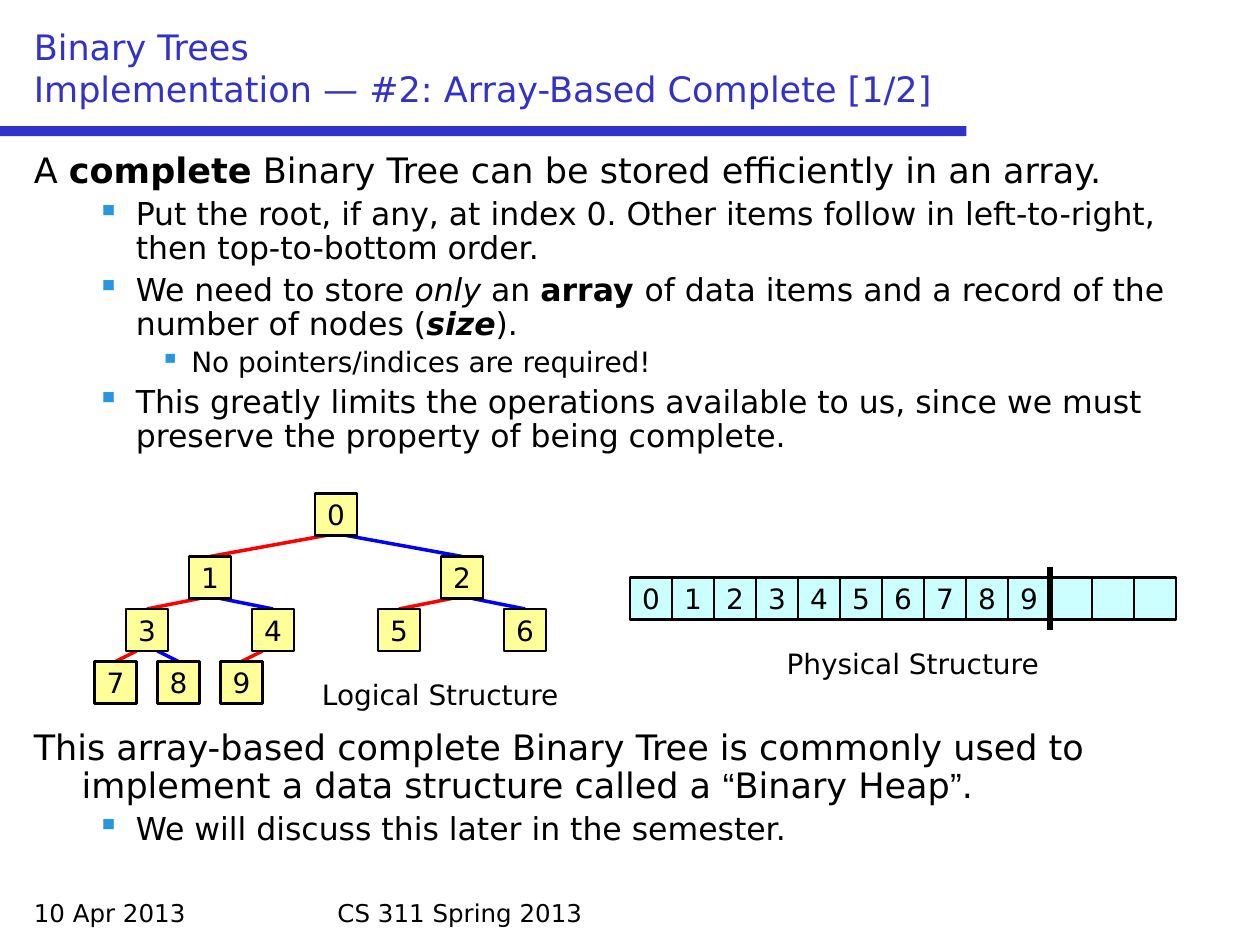
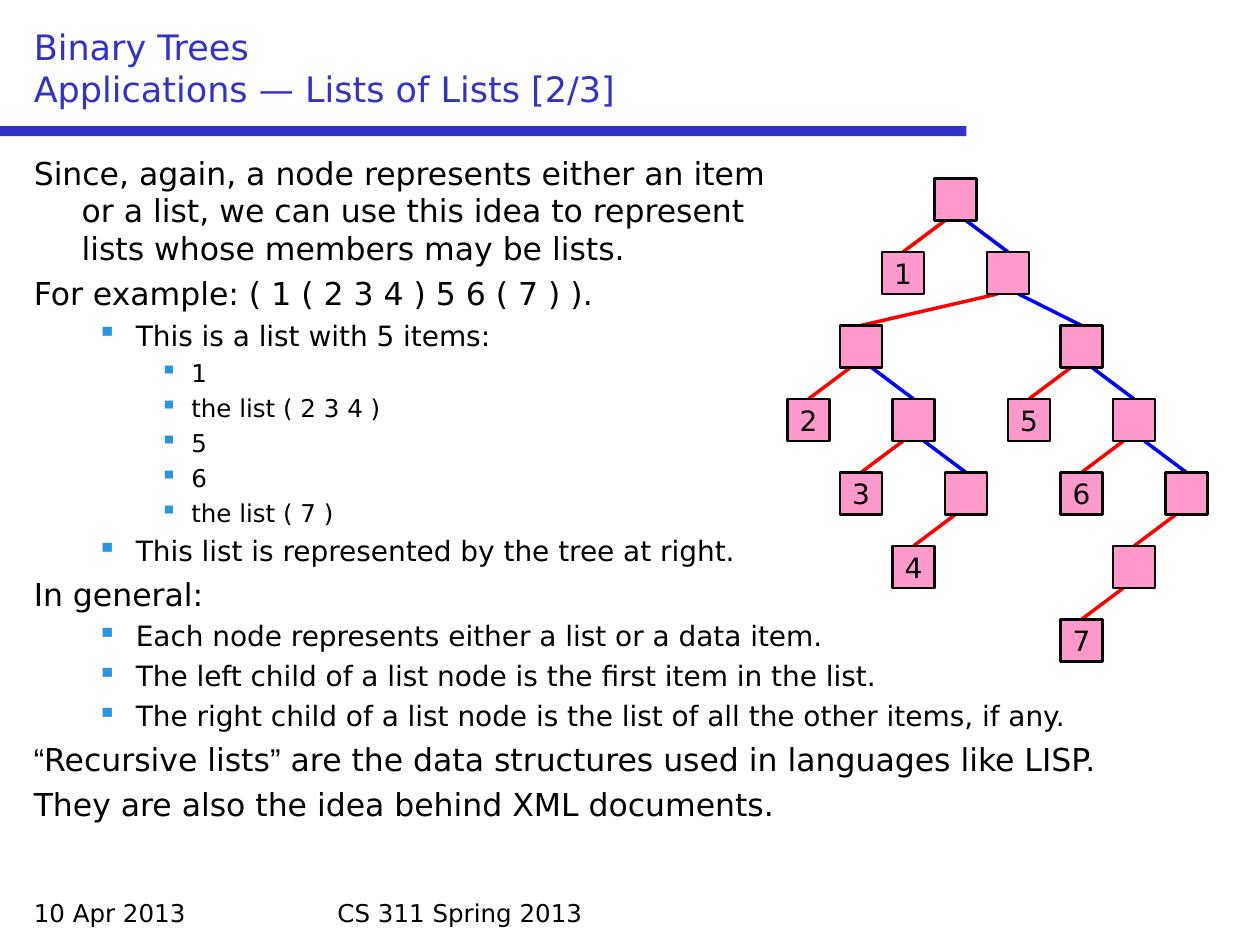
"""Build two lecture slides on binary trees: array-based storage and lists of lists."""
from lxml.etree import SubElement
from pptx import Presentation
from pptx.dml.color import RGBColor
from pptx.enum.shapes import MSO_CONNECTOR, MSO_SHAPE
from pptx.enum.text import MSO_ANCHOR, PP_ALIGN
from pptx.oxml.ns import qn
from pptx.util import Inches, Pt

INDIGO = RGBColor(0x32, 0x32, 0xC8)
SKY = RGBColor(0x28, 0x96, 0xDC)
BLACK = RGBColor(0, 0, 0)
RED = RGBColor(0xFF, 0, 0)
BLUE = RGBColor(0, 0, 0xFF)
YELLOW = RGBColor(0xFF, 0xFF, 0x99)
AQUA = RGBColor(0xCC, 0xFF, 0xFF)
PINK = RGBColor(0xFF, 0x99, 0xCC)

GRID = 1 / 12
CELL = 4
BOLD = {"bold": True}
ITALIC = {"italic": True}
QUOTE = {"name": "Arial"}
INDENTS = [(0.38, -0.38), (0.81, -0.31), (1.25, -0.25)]


def write(paragraph, pieces, size, colour=BLACK):
    for piece in [pieces] if isinstance(pieces, str) else pieces:
        text, changes = (piece, {}) if isinstance(piece, str) else piece
        for number, line in enumerate(text.split("\n")):
            if number:
                paragraph.add_line_break()
            run = paragraph.add_run()
            run.text = line
            run.font.color.rgb = colour
            for key, value in {"name": "DejaVu Sans", "size": Pt(size), **changes}.items():
                setattr(run.font, key, value)


def connect(slide, start, end, colour, width):
    ends = [Inches(value * GRID) for value in (*start, *end)]
    connector = slide.shapes.add_connector(MSO_CONNECTOR.STRAIGHT, *ends)
    connector.line.color.rgb = colour
    connector.line.width = Pt(width)
    SubElement(connector._element.spPr, qn("a:effectLst"))


array_body = [
    (0, ["A ", ("complete", BOLD), " Binary Tree can be stored efficiently in an array."]),
    (1, "Put the root, if any, at index 0. Other items follow in left-to-right, "
        "then top-to-bottom order."),
    (1, ["We need to store ", ("only", ITALIC), " an ", ("array ", BOLD),
         "of data items and a record of the number of nodes (",
         ("size", {**BOLD, **ITALIC}), ")."]),
    (2, "No pointers/indices are required!"),
    (1, "This greatly limits the operations available to us, since we must "
        "preserve the property of being complete."),
    (0, ["This array-based complete Binary Tree is commonly used to implement "
         "a data structure called a ", ("“", QUOTE), "Binary Heap", ("”", QUOTE), "."]),
    (1, "We will discuss this later in the semester."),
]
lists_body = [
    (0, "Since, again, a node represents either an item\n"
        "or a list, we can use this idea to represent\n"
        "lists whose members may be lists."),
    (0, "For example: ( 1 ( 2 3 4 ) 5 6 ( 7 ) )."),
    (1, "This is a list with 5 items:"),
    (2, "1"),
    (2, "the list ( 2 3 4 )"),
    (2, "5"),
    (2, "6"),
    (2, "the list ( 7 )"),
    (1, "This list is represented by the tree at right."),
    (0, "In general:"),
    (1, "Each node represents either a list or a data item."),
    (1, "The left child of a list node is the first item in the list."),
    (1, "The right child of a list node is the list of all the other items, if any."),
    (0, [("“", QUOTE), "Recursive lists", ("”", QUOTE),
         " are the data structures used in languages like LISP."]),
    (0, "They are also the idea behind XML documents."),
]

heap_columns = [30, 18, 42, 12, 24, 36, 48, 9, 15, 21]
heap_rows = [47, 53, 58, 63]
heap_nodes = [
    (str(index), column, heap_rows[(index + 1).bit_length() - 1],
     (index - 1) // 2 if index else None)
    for index, column in enumerate(heap_columns)
]
list_nodes = [
    (label, column, 17 + 7 * depth, parent)
    for label, column, depth, parent in [
        ("", 89, 0, None), ("1", 84, 1, 0), ("", 94, 1, 0),
        ("", 80, 2, 2), ("", 101, 2, 2),
        ("2", 75, 3, 3), ("", 85, 3, 3), ("5", 96, 3, 4), ("", 106, 3, 4),
        ("3", 80, 4, 6), ("", 90, 4, 6), ("6", 101, 4, 8), ("", 111, 4, 8),
        ("4", 85, 5, 10), ("", 106, 5, 12), ("7", 101, 6, 14),
    ]
]
array_slots = [
    (str(slot) if slot < 10 else "", 60 + CELL * slot, 55, AQUA) for slot in range(13)
]
captions = [("Logical Structure", 2.33, 5.33), ("Physical Structure", 6.08, 5.08)]

lectures = [
    ("Implementation — #2: Array-Based Complete [1/2]", array_body, (20, 18, 16), 0.9,
     {5: 158}, heap_nodes, YELLOW, array_slots, captions),
    ("Applications — Lists of Lists [2/3]", lists_body, (18, 16, 14), 1.0,
     {}, list_nodes, PINK, [], []),
]

deck = Presentation()
deck.slide_width = Inches(10)
deck.slide_height = Inches(7.5)

for topic, body, sizes, leading, gaps, nodes, node_fill, slots, labels in lectures:
    slide = deck.slides.add_slide(deck.slide_layouts[6])
    band = slide.shapes.add_shape(
        MSO_SHAPE.RECTANGLE, 0, Inches(1), Inches(7.67), Inches(0.08))
    band.shadow.inherit = False
    band.fill.solid()
    band.fill.fore_color.rgb = INDIGO
    band.line.fill.background()

    top, center = (MSO_ANCHOR.TOP, PP_ALIGN.LEFT), (MSO_ANCHOR.TOP, PP_ALIGN.CENTER)
    for text, area, (anchor, align), size, colour in [
        ("10 Apr 2013", (0.17, 7.08, 2.33, 0.33), top, 14, BLACK),
        ("CS 311 Spring 2013", (2.58, 7.08, 4.83, 0.33), top, 14, BLACK),
        ("Binary Trees\n" + topic, (0.17, 0.17, 9.67, 0.75),
         (MSO_ANCHOR.BOTTOM, PP_ALIGN.LEFT), 20, INDIGO),
        *[(label, (left, y, 2.33, 0.37), center, 16, BLACK) for label, left, y in labels],
    ]:
        frame = slide.shapes.add_textbox(*map(Inches, area)).text_frame
        frame.word_wrap = True
        frame.vertical_anchor = anchor
        frame.paragraphs[0].alignment = align
        write(frame.paragraphs[0], text, size, colour)

    outline = slide.shapes.add_textbox(*map(Inches, (0.17, 1.17, 9.67, 5.83))).text_frame
    outline.word_wrap = True
    for number, (level, pieces) in enumerate(body):
        paragraph = outline.add_paragraph() if number else outline.paragraphs[0]
        paragraph.level = level
        paragraph.line_spacing = leading
        paragraph.space_before = Pt(gaps.get(number, 0.23 * sizes[level]))
        properties = paragraph._p.get_or_add_pPr()
        for key, value in zip(("marL", "indent"), INDENTS[level]):
            properties.set(key, str(Inches(value)))
        if level:
            bullet_colour = SubElement(properties, qn("a:buClr"))
            SubElement(bullet_colour, qn("a:srgbClr")).set("val", str(SKY))
            SubElement(properties, qn("a:buChar")).set("char", "▪")
        write(paragraph, pieces, sizes[level])

    for label, column, row, parent in nodes:
        if parent is not None:
            parent_column, parent_row = nodes[parent][1:3]
            side, colour = (1, BLUE) if column > parent_column else (-1, RED)
            connect(slide, (parent_column + CELL / 2 + side, parent_row + CELL),
                    (column + CELL / 2, row), colour, 2)

    tree_cells = [(label, column, row, node_fill) for label, column, row, parent in nodes]
    for label, column, row, fill in slots + tree_cells:
        area = [Inches(value * GRID) for value in (column, row, CELL, CELL)]
        cell = slide.shapes.add_shape(MSO_SHAPE.RECTANGLE, *area)
        cell.shadow.inherit = False
        cell.fill.solid()
        cell.fill.fore_color.rgb = fill
        cell.line.color.rgb = BLACK
        cell.line.width = Pt(1.25)
        if label:
            cell.text_frame.word_wrap = False
            cell.text_frame.vertical_anchor = MSO_ANCHOR.MIDDLE
            cell.text_frame.paragraphs[0].alignment = PP_ALIGN.CENTER
            write(cell.text_frame.paragraphs[0], label, 16)
    if slots:
        connect(slide, (100, 54), (100, 60), BLACK, 3)

deck.save("out.pptx")
